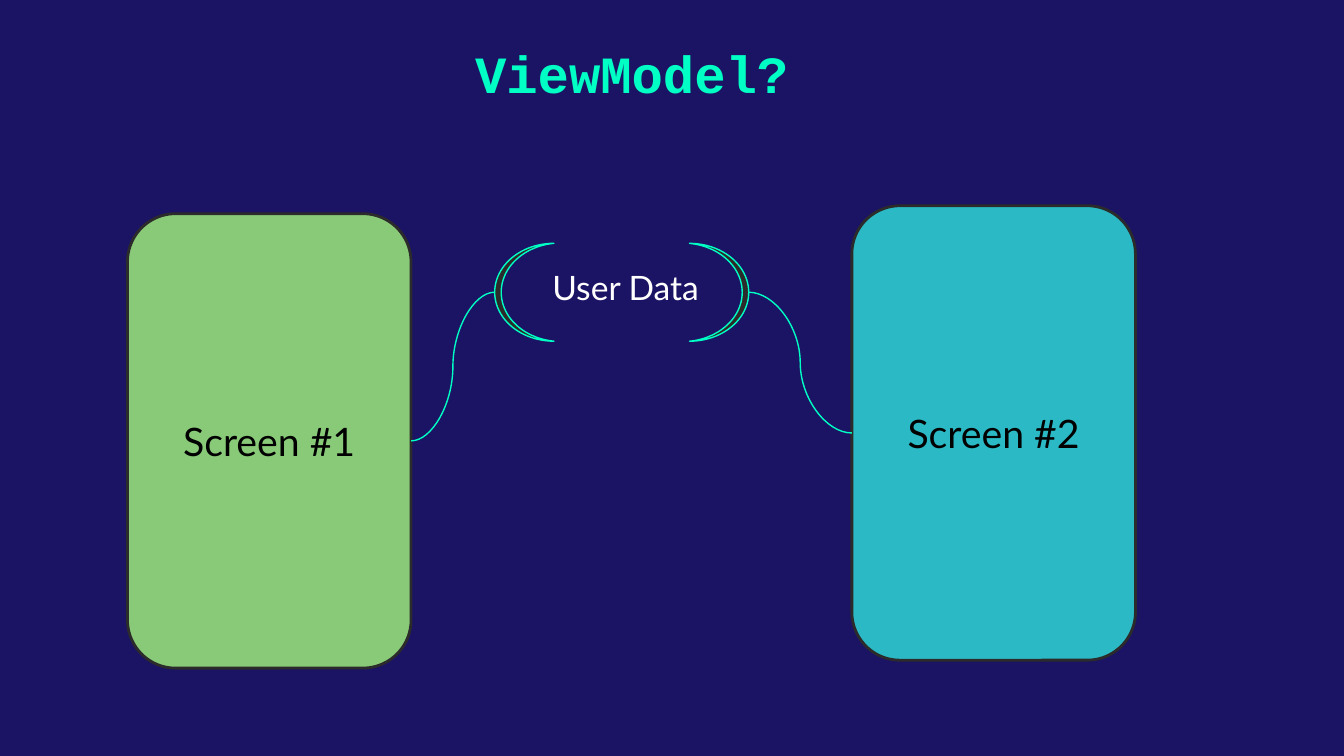
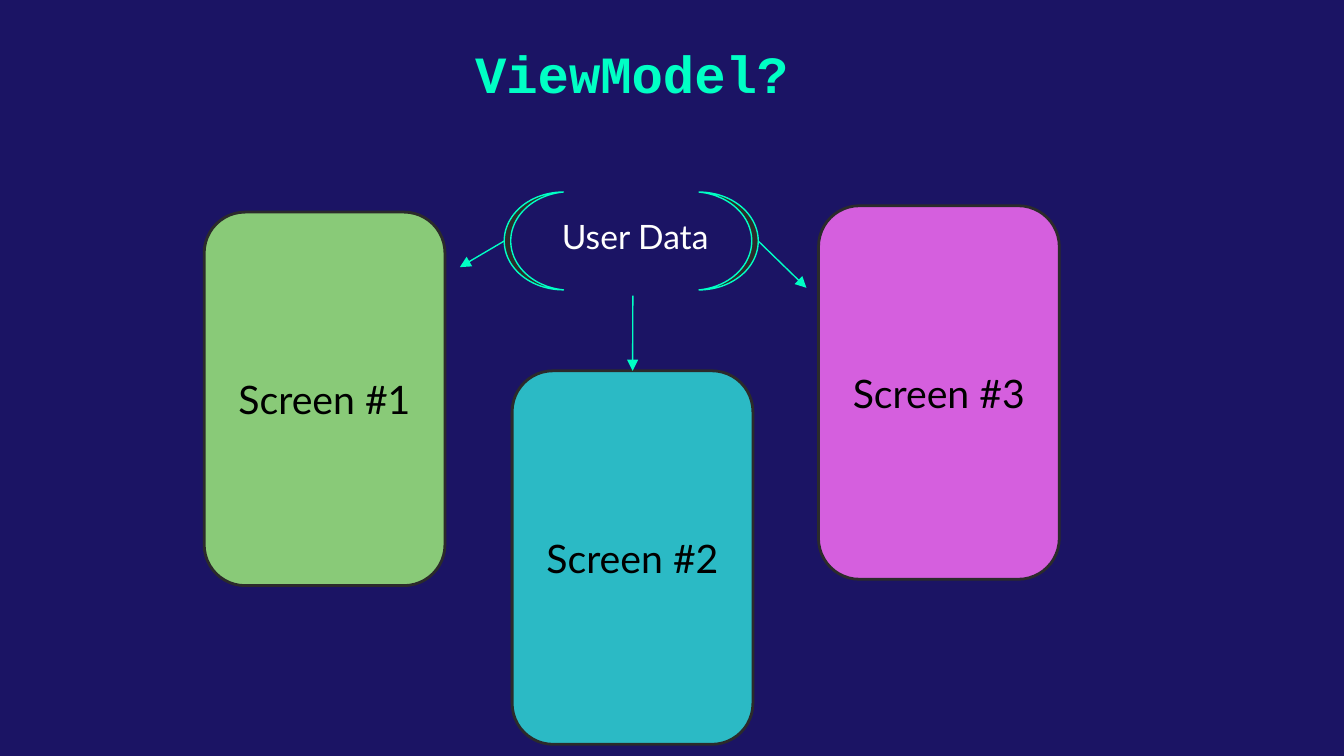
"""Builds two slides showing screens that share user data through a ViewModel."""
import dataclasses

import lxml.etree
import pptx
import pptx.dml.color
import pptx.enum.shapes
import pptx.enum.text
import pptx.oxml.ns
import pptx.util

Cm = pptx.util.Cm
Pt = pptx.util.Pt
SHAPE = pptx.enum.shapes.MSO_SHAPE
CONNECTOR = pptx.enum.shapes.MSO_CONNECTOR
CENTER = pptx.enum.text.PP_ALIGN.CENTER
LEFT = pptx.enum.text.PP_ALIGN.LEFT
MIDDLE = pptx.enum.text.MSO_ANCHOR.MIDDLE
TOP = pptx.enum.text.MSO_ANCHOR.TOP


@dataclasses.dataclass(frozen=True)
class Theme:
    background: str = "1B1464"
    accent: str = "00FFC5"
    dark: str = "2B2B2B"
    black: str = "000000"
    white: str = "FFFFFF"
    green: str = "89CA78"
    teal: str = "2BBAC5"
    violet: str = "D55FDE"
    title_font: str = "Courier New"
    body_font: str = "Lato"
    title_size: float = 28
    screen_size: float = 21
    data_size: float = 18
    screen_line: float = 1.5
    thin_line: float = 0.75


THEME = Theme()
SLIDE_SIZE = (25.4, 14.29)
TITLE = "ViewModel?"
TITLE_AREA = (6.81, 0.53, 10.26, 1.85)
DATA_LABEL = "User Data"
DATA_SIZE = (4.8, 1.85)
DATA_LABEL_AREA = (0.84, 0.2, 3.78, 1.14)
MOON_WIDTH = 1.12
MOON_DEPTH = 0.11
SCREEN_ROUNDING = 0.17
PADDING = 0.25

SLIDES = [
    {
        "screen_size": (5.36, 8.59),
        "screens": [
            ("Screen #1", 2.41, 4.04, THEME.green),
            ("Screen #2", 16.1, 3.89, THEME.teal),
        ],
        "data": (9.35, 4.6),
        "curves": [
            (("Screen #1", "right"), (DATA_LABEL, "left")),
            ((DATA_LABEL, "right"), ("Screen #2", "left")),
        ],
        "arrows": [],
    },
    {
        "screen_size": (4.55, 7.06),
        "screens": [
            ("Screen #1", 3.86, 4.01, THEME.green),
            ("Screen #3", 15.47, 3.89, THEME.violet),
            ("Screen #2", 9.68, 7.01, THEME.teal),
        ],
        "data": (9.53, 3.63),
        "curves": [],
        "arrows": [
            ((11.96, 5.59), ("Screen #2", "top")),
            ((DATA_LABEL, "right"), (15.24, 5.44)),
            ((DATA_LABEL, "left"), (8.69, 5.05)),
        ],
    },
]


def color(value):
    return pptx.dml.color.RGBColor.from_string(value)


def lengths(values):
    return [Cm(value) for value in values]


def write(box, text, font, size, ink, align=CENTER, anchor=TOP, bold=False):
    frame = box.text_frame
    frame.word_wrap = True
    frame.vertical_anchor = anchor
    frame.margin_left = frame.margin_right = Cm(PADDING)
    frame.margin_top = frame.margin_bottom = Cm(PADDING)
    para = frame.paragraphs[0]
    para.text = text
    para.alignment = align
    para.font.name = font
    para.font.size = Pt(size)
    para.font.bold = bold
    para.font.color.rgb = color(ink)


def add_outlined(shapes, kind, area, fill, line, width, adjustment):
    shape = shapes.add_shape(kind, *lengths(area))
    shape.shadow.inherit = False
    shape.adjustments[0] = adjustment
    shape.fill.solid()
    shape.fill.fore_color.rgb = color(fill)
    shape.line.color.rgb = color(line)
    shape.line.width = Pt(width)
    return shape


def add_screen(page, name, area, fill):
    screen = add_outlined(page.shapes, SHAPE.ROUNDED_RECTANGLE, area, fill,
                          THEME.dark, THEME.screen_line, SCREEN_ROUNDING)
    write(screen, name, THEME.body_font, THEME.screen_size, THEME.black, anchor=MIDDLE)


def add_data(page, left, top):
    group = page.shapes.add_group_shape()
    width, height = DATA_SIZE
    for offset, rotation in ((0, 0), (width - MOON_WIDTH, 180)):
        moon = add_outlined(group.shapes, SHAPE.MOON,
                            (left + offset, top, MOON_WIDTH, height),
                            THEME.dark, THEME.accent, THEME.thin_line, MOON_DEPTH)
        moon.rotation = rotation
    dx, dy, label_width, label_height = DATA_LABEL_AREA
    label = group.shapes.add_textbox(
        *lengths((left + dx, top + dy, label_width, label_height)))
    write(label, DATA_LABEL, THEME.body_font, THEME.data_size, THEME.white, LEFT)


def add_link(page, kind, start, end, arrow):
    link = page.shapes.add_connector(kind, *lengths(start + end))
    link.line.color.rgb = color(THEME.accent)
    link.line.width = Pt(THEME.thin_line)
    qualify = pptx.oxml.ns.qn
    properties = link._element.spPr
    if arrow:
        line = properties.find(qualify("a:ln"))
        lxml.etree.SubElement(line, qualify("a:tailEnd"), type="triangle")
    lxml.etree.SubElement(properties, qualify("a:effectLst"))


def side_points(name, area):
    left, top, width, height = area
    return {
        (name, "left"): (left, top + height / 2),
        (name, "right"): (left + width, top + height / 2),
        (name, "top"): (left + width / 2, top),
    }


def add_page(deck, content):
    page = deck.slides.add_slide(deck.slide_layouts[6])
    title = page.shapes.add_textbox(*lengths(TITLE_AREA))
    write(title, TITLE, THEME.title_font, THEME.title_size, THEME.accent, bold=True)
    points = side_points(DATA_LABEL, content["data"] + DATA_SIZE)
    for name, left, top, fill in content["screens"]:
        area = (left, top) + content["screen_size"]
        add_screen(page, name, area, fill)
        points.update(side_points(name, area))
    add_data(page, *content["data"])
    for links, kind, arrow in ((content["curves"], CONNECTOR.CURVE, False),
                               (content["arrows"], CONNECTOR.STRAIGHT, True)):
        for start, end in links:
            add_link(page, kind, points.get(start, start), points.get(end, end), arrow)


def main():
    deck = pptx.Presentation()
    deck.slide_width, deck.slide_height = lengths(SLIDE_SIZE)
    backdrop = deck.slide_master.background.fill
    backdrop.solid()
    backdrop.fore_color.rgb = color(THEME.background)
    for content in SLIDES:
        add_page(deck, content)
    deck.save("out.pptx")


if __name__ == "__main__":
    main()
